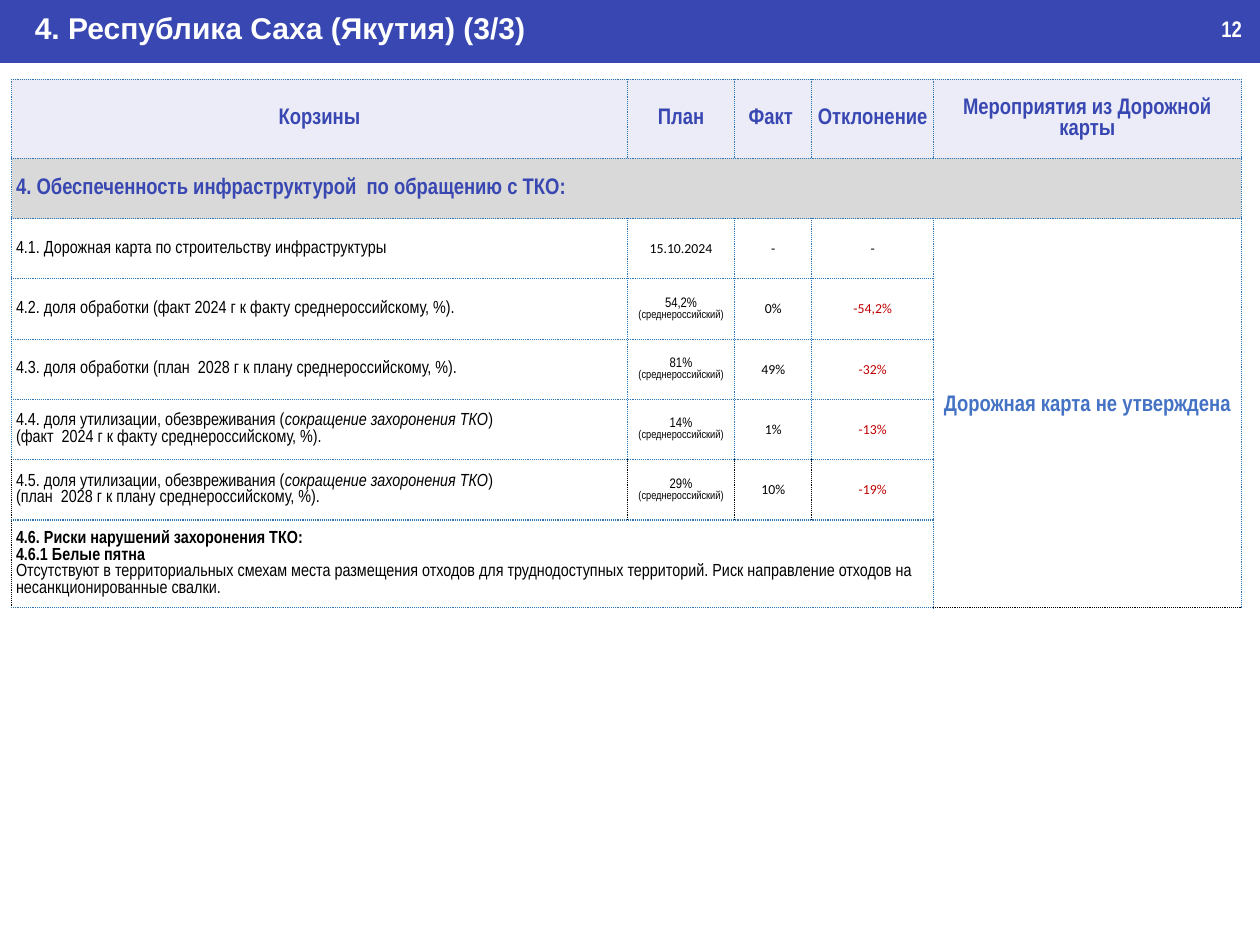
from dataclasses import dataclass

from lxml import etree
from pptx import Presentation
from pptx.dml.color import RGBColor
from pptx.enum.shapes import MSO_SHAPE
from pptx.enum.text import MSO_ANCHOR, MSO_AUTO_SIZE, PP_ALIGN
from pptx.oxml.ns import qn
from pptx.util import Pt

RECTANGLE = MSO_SHAPE.RECTANGLE
MIDDLE = MSO_ANCHOR.MIDDLE
GROW = MSO_AUTO_SIZE.SHAPE_TO_FIT_TEXT
LEFT, CENTER = PP_ALIGN.LEFT, PP_ALIGN.CENTER


@dataclass(frozen=True)
class Theme:
    brand: str = "3847B1"
    white: str = "FFFFFF"
    black: str = "000000"
    header: str = "EBECF7"
    section: str = "D9D9D9"
    border: str = "2E75B6"
    notice: str = "4472C4"
    negative: str = "C00000"
    title_font: str = "Arial"
    text_font: str = "Arial Narrow"
    number_font: str = "Calibri"
    title_size: int = 24
    heading_size: int = 18
    body_size: int = 14
    value_size: int = 11
    note_size: int = 9


THEME = Theme()
HEADING = dict(size=THEME.heading_size, color=THEME.brand, bold=True)
VALUE = dict(size=THEME.value_size, font=THEME.number_font)

COLUMNS = [492.8, 85.7, 61.9, 97.2, 246.2]
ROWS = [63.3] + [48.24] * 6 + [70.3]
HEADERS = ["Корзины", "План", "Факт ", "Отклонение", "Мероприятия из Дорожной карты"]
SECTION = "4. Обеспеченность инфраструктурой  по обращению с ТКО:"
NOTICE = "Дорожная карта не утверждена"
AVERAGE = "(среднероссийский)"
REDUCTION = "сокращение захоронения ТКО"
INDICATORS = [
    (["4.1. Дорожная карта по строительству инфраструктуры"], "15.10.2024", "-", "-"),
    (["4.2. доля обработки (факт 2024 г к факту среднероссийскому, %)."], "54,2%", "0%", "-54,2%"),
    (["4.3. доля обработки (план  2028 г к плану среднероссийскому, %)."], "81%", "49%", "-32%"),
    (["4.4. доля утилизации, обезвреживания (", REDUCTION,
      ")\n(факт  2024 г к факту среднероссийскому, %)."], "14%", "1%", "-13%"),
    (["4.5. доля утилизации, обезвреживания (", REDUCTION,
      ")\n(план  2028 г к плану среднероссийскому, %)."], "29%", "10%", "-19%"),
]
RISKS = [
    ("4.6. Риски нарушений захоронения ТКО:", True),
    ("4.6.1 Белые пятна", True),
    ("Отсутствуют в территориальных смехам места размещения отходов для труднодоступных "
     "территорий. Риск направление отходов на несанкционированные свалки.", False),
]


def write(para, text, size=THEME.body_size, font=THEME.text_font,
          color=THEME.black, bold=False, italic=False):
    for index, line in enumerate(text.split("\n")):
        if index:
            para.add_line_break()
        span = para.add_run()
        span.text = line
        span.font.size = Pt(size)
        span.font.name = font
        span.font.color.rgb = RGBColor.from_string(color)
        span.font.bold = bold
        span.font.italic = italic


def fill_cell(cell, paragraphs, align=LEFT):
    frame = cell.text_frame
    for index, spans in enumerate(paragraphs):
        para = frame.add_paragraph() if index else frame.paragraphs[0]
        para.alignment = align
        para.line_spacing = 1.0
        for text, style in spans:
            write(para, text, **style)


def draw_borders(cell, black_sides):
    properties = cell._tc.get_or_add_tcPr()
    for side in "LRTB":
        line = etree.SubElement(properties, qn(f"a:ln{side}"), w=str(Pt(1)))
        solid = etree.SubElement(line, qn("a:solidFill"))
        color = THEME.black if side in black_sides else THEME.border
        etree.SubElement(solid, qn("a:srgbClr"), val=color)
        etree.SubElement(line, qn("a:prstDash"), val="sysDot")


def black_sides(row, column):
    if column == 4:
        return "B" if row in (2, 7) else ""
    if row == 6:
        return "L" if column == 3 else "LR"
    return "L" if row == 7 and column == 0 else ""


def format_grid(table):
    for row in range(len(ROWS)):
        for column in range(len(COLUMNS)):
            cell = table.cell(row, column)
            cell.vertical_anchor = MIDDLE
            cell.margin_left = cell.margin_right = Pt(3.6)
            cell.margin_top = cell.margin_bottom = Pt(1.5)
            draw_borders(cell, black_sides(row, column))
            if row < 2:
                cell.fill.solid()
                color = (THEME.header, THEME.section)[row]
                cell.fill.fore_color.rgb = RGBColor.from_string(color)
            else:
                cell.fill.background()


def add_indicator_table(page, left, top):
    table = page.shapes.add_table(len(ROWS), len(COLUMNS), Pt(left), Pt(top),
                                  Pt(sum(COLUMNS)), Pt(sum(ROWS))).table
    table.first_row = table.horz_banding = False
    for column, width in zip(table.columns, COLUMNS):
        column.width = Pt(width)
    for row, height in zip(table.rows, ROWS):
        row.height = Pt(height)
    format_grid(table)
    table.cell(1, 0).merge(table.cell(1, 4))
    table.cell(2, 4).merge(table.cell(7, 4))
    table.cell(7, 0).merge(table.cell(7, 3))

    for column, text in enumerate(HEADERS):
        fill_cell(table.cell(0, column), [[(text, HEADING)]], CENTER)
    fill_cell(table.cell(1, 0), [[(SECTION, HEADING)]])
    notice = table.cell(2, 4)
    notice.margin_bottom = Pt(13)
    fill_cell(notice, [[(NOTICE, {**HEADING, "color": THEME.notice})]], CENTER)

    for row, (name, plan, fact, deviation) in enumerate(INDICATORS, start=2):
        spans = [(text, dict(italic=text == REDUCTION)) for text in name]
        fill_cell(table.cell(row, 0), [spans])
        planned = [[(plan, VALUE)]]
        if plan.endswith("%"):
            planned = [[(plan, dict(size=THEME.value_size))],
                       [(AVERAGE, dict(size=THEME.note_size))]]
        fill_cell(table.cell(row, 1), planned, CENTER)
        fill_cell(table.cell(row, 2), [[(fact, VALUE)]], CENTER)
        color = THEME.negative if deviation.endswith("%") else THEME.black
        fill_cell(table.cell(row, 3), [[(deviation, {**VALUE, "color": color})]], CENTER)

    fill_cell(table.cell(7, 0), [[(text, dict(bold=bold))] for text, bold in RISKS])


def add_label(page, left, top, width, height, text, inset=7.2, **style):
    frame = page.shapes.add_textbox(Pt(left), Pt(top), Pt(width), Pt(height)).text_frame
    frame.word_wrap = True
    frame.auto_size = GROW
    frame.margin_left = Pt(inset)
    write(frame.paragraphs[0], text, color=THEME.white, bold=True, **style)


def add_title_band(page, left, top, width, height):
    band = page.shapes.add_shape(RECTANGLE, Pt(left), Pt(top), Pt(width), Pt(height))
    band.shadow.inherit = False
    band.fill.solid()
    band.fill.fore_color.rgb = RGBColor.from_string(THEME.brand)
    band.line.fill.background()
    add_label(page, left - 0.7, top + 4.3, width, 36, "4. Республика Саха (Якутия) (3/3)",
              inset=28.6, size=THEME.title_size, font=THEME.title_font)
    add_label(page, left + width - 38, top + 8.6, 37.4, 29, "12", size=THEME.heading_size)


def main():
    deck = Presentation()
    deck.slide_width, deck.slide_height = Pt(1008), Pt(756)
    page = deck.slides.add_slide(deck.slide_layouts[6])
    add_title_band(page, 0, 0, 1008, 50.4)
    add_indicator_table(page, 9.2, 63.4)
    deck.save("out.pptx")


if __name__ == "__main__":
    main()
